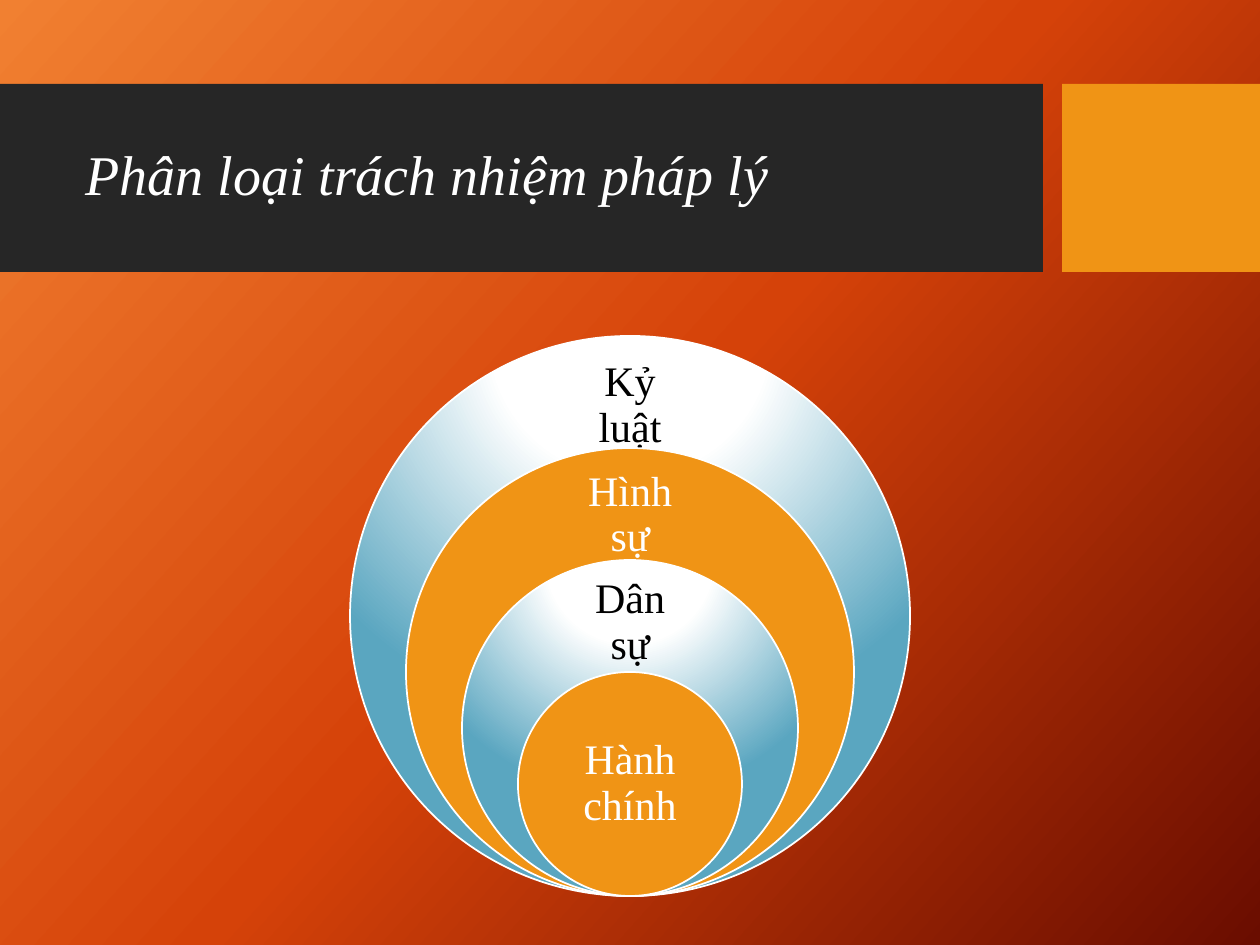
from lxml import etree
from pptx import Presentation
from pptx.dml.color import RGBColor
from pptx.enum.shapes import MSO_SHAPE
from pptx.enum.text import MSO_ANCHOR, PP_ALIGN
from pptx.oxml.ns import qn
from pptx.util import Emu, Pt

SCALE = 914400 / 126  # EMU per px
COLORS = {
    "band": "262626", "orange": "F09415", "white": "FFFFFF", "black": "000000",
    "blue": "5AA6C0", "light": "F18031", "middle": "D54209", "dark": "6A0D00",
}


def set_gradient(owner, fill, stops):
    """Give a fill its colour stops and return the emptied gradient element."""
    fill.gradient()
    gradient = next(owner.iter(qn("a:gradFill")))
    for child in list(gradient):
        gradient.remove(child)
    stop_list = etree.SubElement(gradient, qn("a:gsLst"))
    for position, color in stops:
        stop = etree.SubElement(stop_list, qn("a:gs"), pos=str(position * 1000))
        etree.SubElement(stop, qn("a:srgbClr"), val=COLORS[color])
    return gradient


def add_text(slide, box, text, size, color, inset=None):
    textbox = slide.shapes.add_textbox(*[Emu(round(v * SCALE)) for v in box])
    frame = textbox.text_frame
    frame.word_wrap = True
    frame.vertical_anchor = MSO_ANCHOR.MIDDLE
    if inset is not None:
        frame.margin_left = frame.margin_right = Emu(round(inset * SCALE))
        frame.margin_top = frame.margin_bottom = Emu(round(inset * SCALE))
    paragraph = frame.paragraphs[0]
    paragraph.text = text
    paragraph.line_spacing = 0.9
    paragraph.font.name = "Times New Roman"
    paragraph.font.size = Pt(size)
    paragraph.font.color.rgb = RGBColor.from_string(COLORS[color])
    return paragraph


presentation = Presentation()
presentation.slide_width = Emu(round(1260 * SCALE))
presentation.slide_height = Emu(round(945 * SCALE))
slide = presentation.slides.add_slide(presentation.slide_layouts[6])

# Diagonal background
background = set_gradient(slide.element, slide.background.fill,
                          [(0, "light"), (50, "middle"), (100, "dark")])
etree.SubElement(background, qn("a:lin"), ang=str(42 * 60000), scaled="0")

# Title band and its accent block
for left, width, color in [(0, 1043, "band"), (1062, 198, "orange")]:
    shape = slide.shapes.add_shape(
        MSO_SHAPE.RECTANGLE, *[Emu(round(v * SCALE)) for v in (left, 84, width, 188)])
    shape.shadow.inherit = False
    shape.fill.solid()
    shape.fill.fore_color.rgb = RGBColor.from_string(COLORS[color])
    shape.line.fill.background()

# Nested circles sharing their lowest point, each with a label
CENTER, BOTTOM, STEP = 630, 896, 112
labels = [  # text, top, width, height
    ("Kỷ luật", 364, 156, 84),
    ("Hình sự", 475, 156, 81),
    ("Dân sự", 585, 156, 76),
    ("Hành chính", 728, 158, 112),
]
for index, (text, top, width, height) in enumerate(labels):
    size = STEP * (5 - index)
    box = (CENTER - size / 2, BOTTOM - size, size, size)
    circle = slide.shapes.add_shape(
        MSO_SHAPE.OVAL, *[Emu(round(v * SCALE)) for v in box])
    circle.shadow.inherit = False
    circle.line.color.rgb = RGBColor.from_string(COLORS["white"])
    circle.line.width = Pt(1)
    if index % 2 == 0:
        gradient = set_gradient(circle.element, circle.fill,
                                [(0, "white"), (35, "white"), (100, "blue")])
        radial = etree.SubElement(gradient, qn("a:path"), {"path": "circle"})
        etree.SubElement(radial, qn("a:fillToRect"),
                         l="50000", t="-80000", r="50000", b="180000")
    else:
        circle.fill.solid()
        circle.fill.fore_color.rgb = RGBColor.from_string(COLORS["orange"])
    label = add_text(slide, (CENTER - width / 2, top, width, height), text, 24,
                     "white" if index % 2 else "black", inset=24)
    label.alignment = PP_ALIGN.CENTER

# Title
title = add_text(slide, (73, 103, 950, 149), "Phân loại trách nhiệm pháp lý", 32, "white")
title.font.italic = True

presentation.save("out.pptx")
